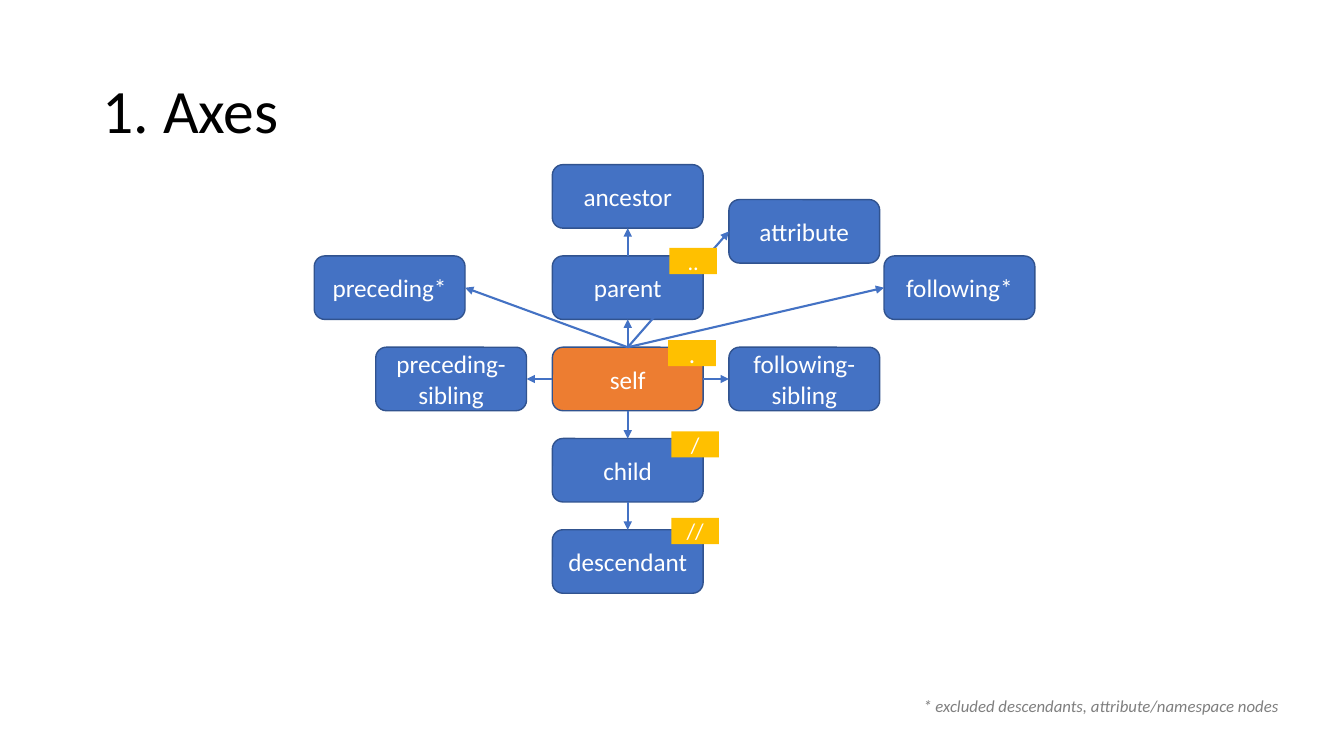
from typing import NamedTuple

from lxml.etree import SubElement
from pptx import Presentation
from pptx.dml.color import RGBColor
from pptx.enum.shapes import MSO_CONNECTOR, MSO_SHAPE
from pptx.enum.text import MSO_ANCHOR, MSO_AUTO_SIZE, PP_ALIGN
from pptx.oxml.ns import qn
from pptx.shapes.autoshape import Shape
from pptx.slide import Slide
from pptx.text.text import TextFrame
from pptx.util import Cm, Pt

BLUE = RGBColor(0x44, 0x72, 0xC4)
DARK_BLUE = RGBColor(0x31, 0x53, 0x8F)
ORANGE = RGBColor(0xED, 0x7D, 0x31)
YELLOW = RGBColor(0xFF, 0xC0, 0x00)
GREY = RGBColor(0x7F, 0x7F, 0x7F)
WHITE = RGBColor(0xFF, 0xFF, 0xFF)
BLACK = RGBColor(0x00, 0x00, 0x00)

FONT = "Calibri"
TOP, LEFT, BOTTOM, RIGHT = range(4)

# Lengths in centimetres
NODE_WIDTH, NODE_HEIGHT = 3.8, 1.6
TAG_WIDTH, TAG_HEIGHT = 1.2, 0.66
SELF_LEFT, SELF_TOP = 13.92, 8.75
COLUMN_STEP, ROW_STEP = 4.45, 2.3


class Node(NamedTuple):
    label: str
    left: float = SELF_LEFT
    top: float = SELF_TOP
    fill: RGBColor = BLUE


class Arrow(NamedTuple):
    source: str
    source_side: int
    target: str
    target_side: int


class Tag(NamedTuple):
    """A yellow label placed relative to the corner of its node."""
    text: str
    node: str
    right: float
    up: float
    size: int = 16


NODES = [
    Node("self", fill=ORANGE),
    Node("parent", top=SELF_TOP - ROW_STEP),
    Node("ancestor", top=SELF_TOP - 2 * ROW_STEP),
    Node("child", top=SELF_TOP + ROW_STEP),
    Node("descendant", top=SELF_TOP + 2 * ROW_STEP),
    Node("preceding-sibling", left=SELF_LEFT - COLUMN_STEP),
    Node("following-sibling", left=SELF_LEFT + COLUMN_STEP),
    Node("attribute", left=SELF_LEFT + COLUMN_STEP, top=5.03),
    Node("preceding*", left=7.92, top=SELF_TOP - ROW_STEP),
    Node("following*", left=22.28, top=SELF_TOP - ROW_STEP),
]

ARROWS = [
    Arrow("self", TOP, "parent", BOTTOM),
    Arrow("parent", TOP, "ancestor", BOTTOM),
    Arrow("self", BOTTOM, "child", TOP),
    Arrow("child", BOTTOM, "descendant", TOP),
    Arrow("self", LEFT, "preceding-sibling", RIGHT),
    Arrow("self", RIGHT, "following-sibling", LEFT),
    Arrow("self", TOP, "attribute", LEFT),
    Arrow("self", TOP, "following*", LEFT),
    Arrow("self", TOP, "preceding*", RIGHT),
]

TAGS = [
    Tag(".", "self", 2.92, 0.18, size=18),
    Tag("/", "child", 3.0, 0.18),
    Tag("//", "descendant", 3.0, 0.3),
    Tag("..", "parent", 2.95, 0.2),
]


def write(frame: TextFrame, text: str, size: int, color: RGBColor,
          align: PP_ALIGN = PP_ALIGN.LEFT, italic: bool = False) -> None:
    frame.word_wrap = True
    paragraph = frame.paragraphs[0]
    paragraph.alignment = align
    run = paragraph.add_run()
    run.text = text
    font_format = {"name": FONT, "size": Pt(size), "italic": italic}
    for name, value in font_format.items():
        setattr(run.font, name, value)
    run.font.color.rgb = color


def add_label(slide: Slide, preset: MSO_SHAPE, left: float, top: float,
              width: float, height: float, fill: RGBColor, text: str,
              size: int) -> Shape:
    """Add a filled shape with centred white text."""
    shape = slide.shapes.add_shape(preset, Cm(left), Cm(top), Cm(width), Cm(height))
    shape.shadow.inherit = False
    shape.fill.solid()
    shape.fill.fore_color.rgb = fill
    shape.text_frame.vertical_anchor = MSO_ANCHOR.MIDDLE
    write(shape.text_frame, text, size, WHITE, PP_ALIGN.CENTER)
    return shape


def add_node(slide: Slide, node: Node) -> Shape:
    shape = add_label(slide, MSO_SHAPE.ROUNDED_RECTANGLE, node.left, node.top,
                      NODE_WIDTH, NODE_HEIGHT, node.fill, node.label, 18)
    shape.line.color.rgb = DARK_BLUE
    shape.line.width = Pt(1)
    return shape


def add_arrow(slide: Slide, arrow: Arrow, shapes: dict[str, Shape]) -> None:
    connector = slide.shapes.add_connector(MSO_CONNECTOR.STRAIGHT, 0, 0, 0, 0)
    connector.begin_connect(shapes[arrow.source], arrow.source_side)
    connector.end_connect(shapes[arrow.target], arrow.target_side)
    connector.line.color.rgb = BLUE
    connector.line.width = Pt(1.5)
    SubElement(connector.line._get_or_add_ln(), qn("a:tailEnd"), type="triangle")
    SubElement(connector._element.spPr, qn("a:effectLst"))


def add_tag(slide: Slide, tag: Tag, node: Node) -> None:
    shape = add_label(slide, MSO_SHAPE.RECTANGLE, node.left + tag.right,
                      node.top - tag.up, TAG_WIDTH, TAG_HEIGHT, YELLOW,
                      tag.text, tag.size)
    shape.line.fill.background()


def add_title(slide: Slide) -> None:
    title = slide.shapes.title
    place = {"left": Cm(2.33), "top": Cm(1.01), "width": Cm(24.74), "height": Cm(3.68)}
    for name, value in place.items():
        setattr(title, name, value)
    frame = title.text_frame
    frame.auto_size = MSO_AUTO_SIZE.NONE
    frame.vertical_anchor = MSO_ANCHOR.MIDDLE
    write(frame, "1. Axes", 44, BLACK)
    frame.paragraphs[0].line_spacing = 0.9


def add_footnote(slide: Slide) -> None:
    box = slide.shapes.add_textbox(Cm(23.02), Cm(17.4), Cm(9.6), Cm(0.77))
    write(box.text_frame, "* excluded descendants, attribute/namespace nodes",
          12, GREY, italic=True)


def main() -> None:
    presentation = Presentation()
    presentation.slide_width = Cm(33.87)
    presentation.slide_height = Cm(19.05)
    slide = presentation.slides.add_slide(presentation.slide_layouts[5])

    add_title(slide)
    nodes = {node.label: node for node in NODES}
    shapes = {label: add_node(slide, node) for label, node in nodes.items()}
    for arrow in ARROWS:
        add_arrow(slide, arrow, shapes)
    add_footnote(slide)
    for tag in TAGS:
        add_tag(slide, tag, nodes[tag.node])

    presentation.save("out.pptx")


if __name__ == "__main__":
    main()
